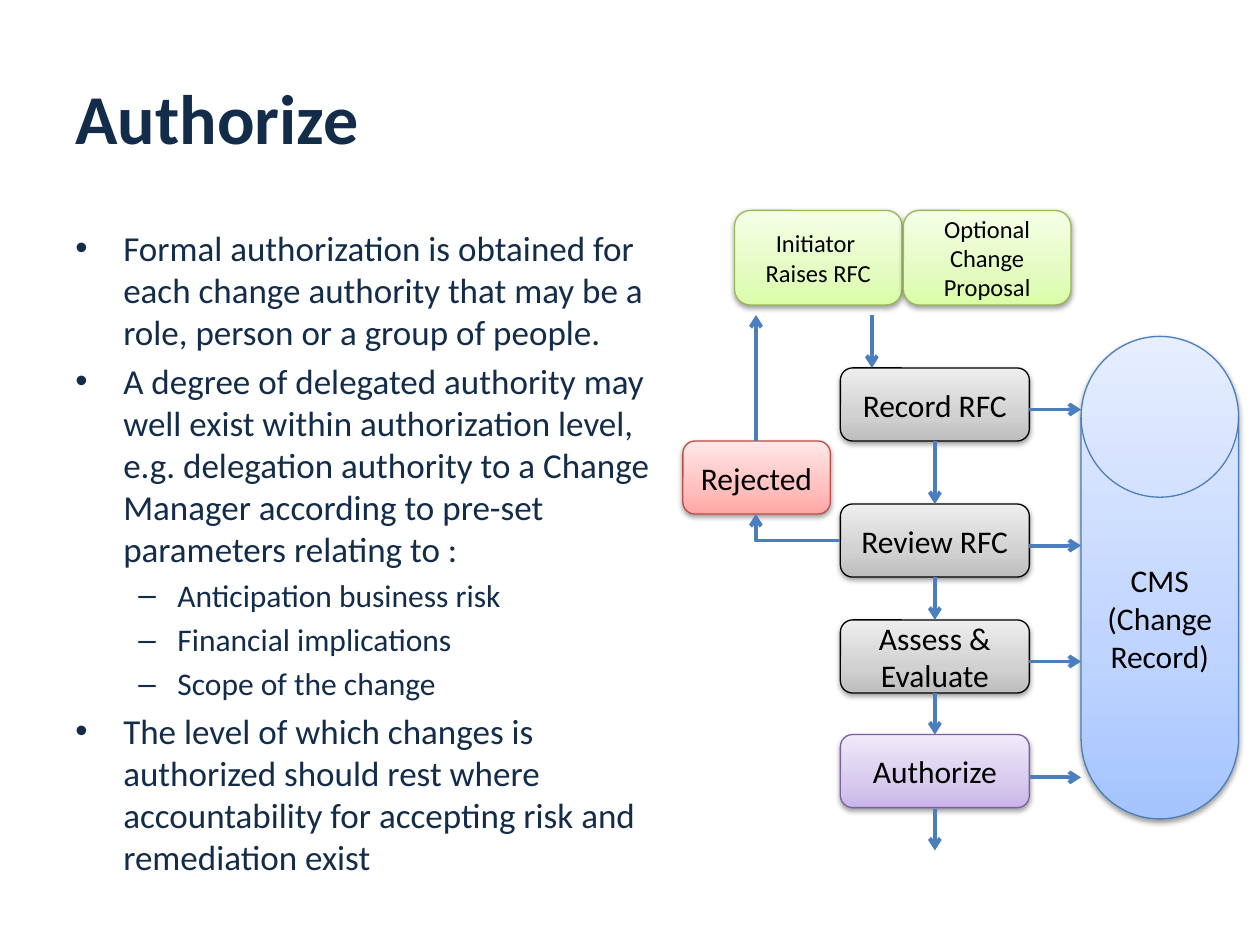
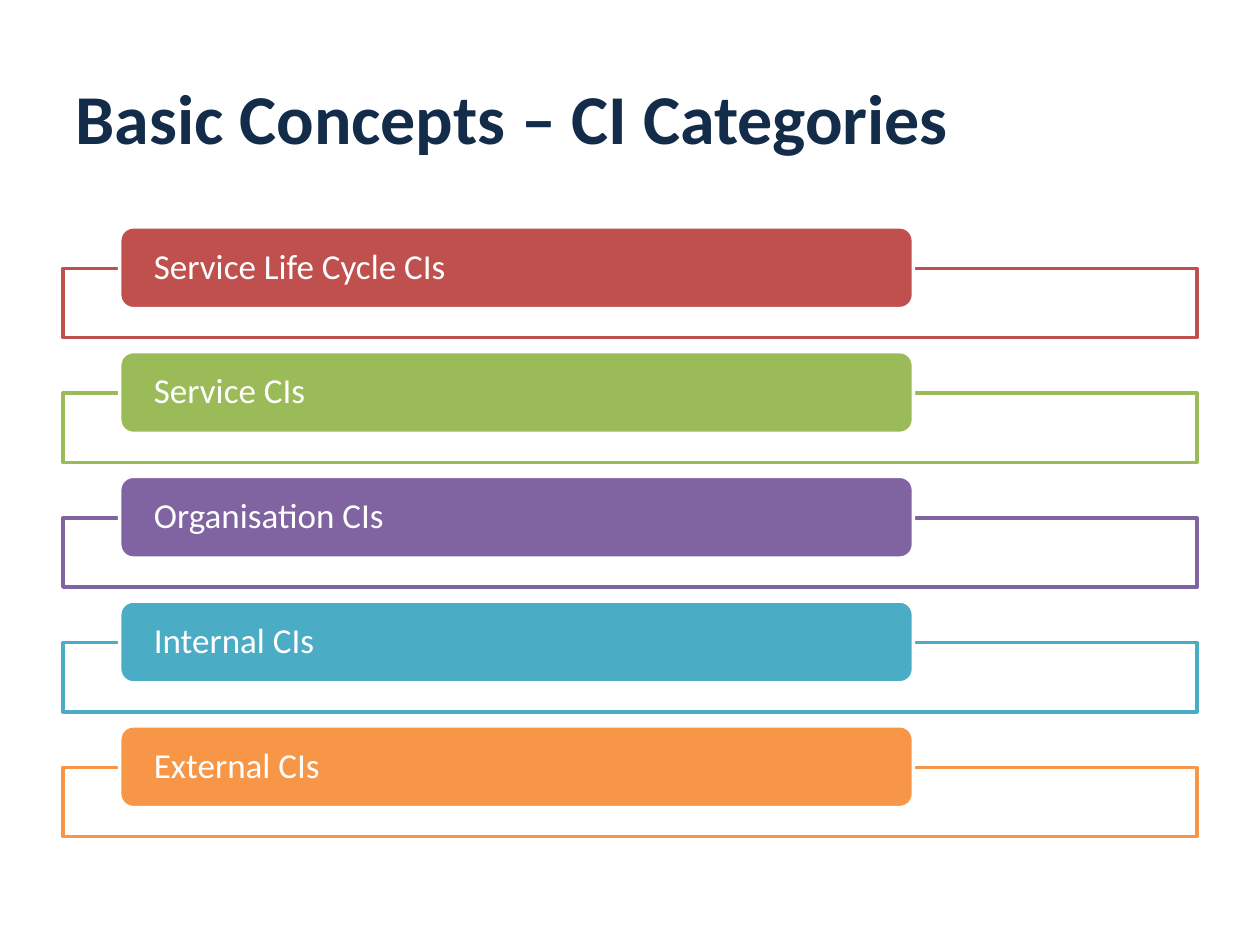
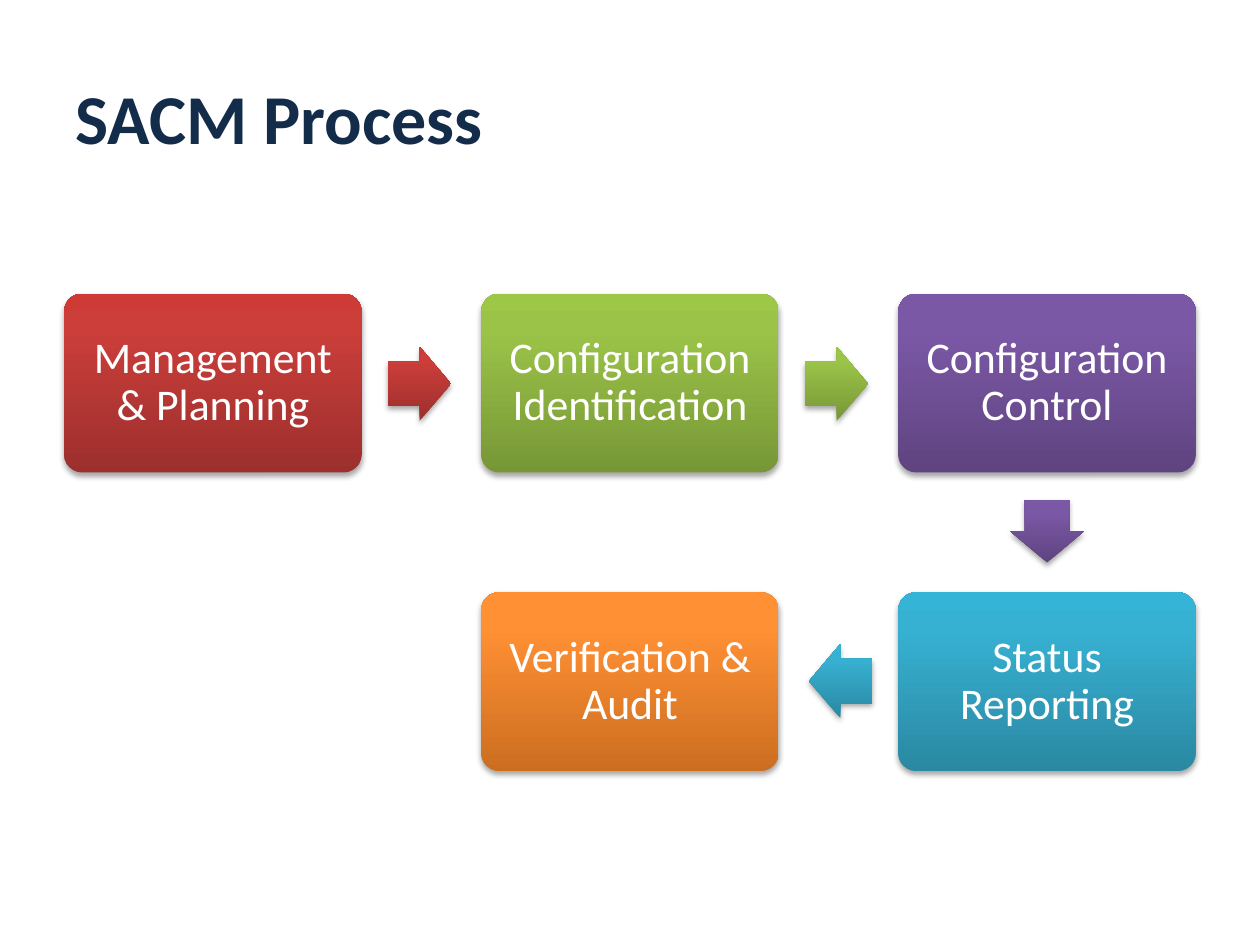
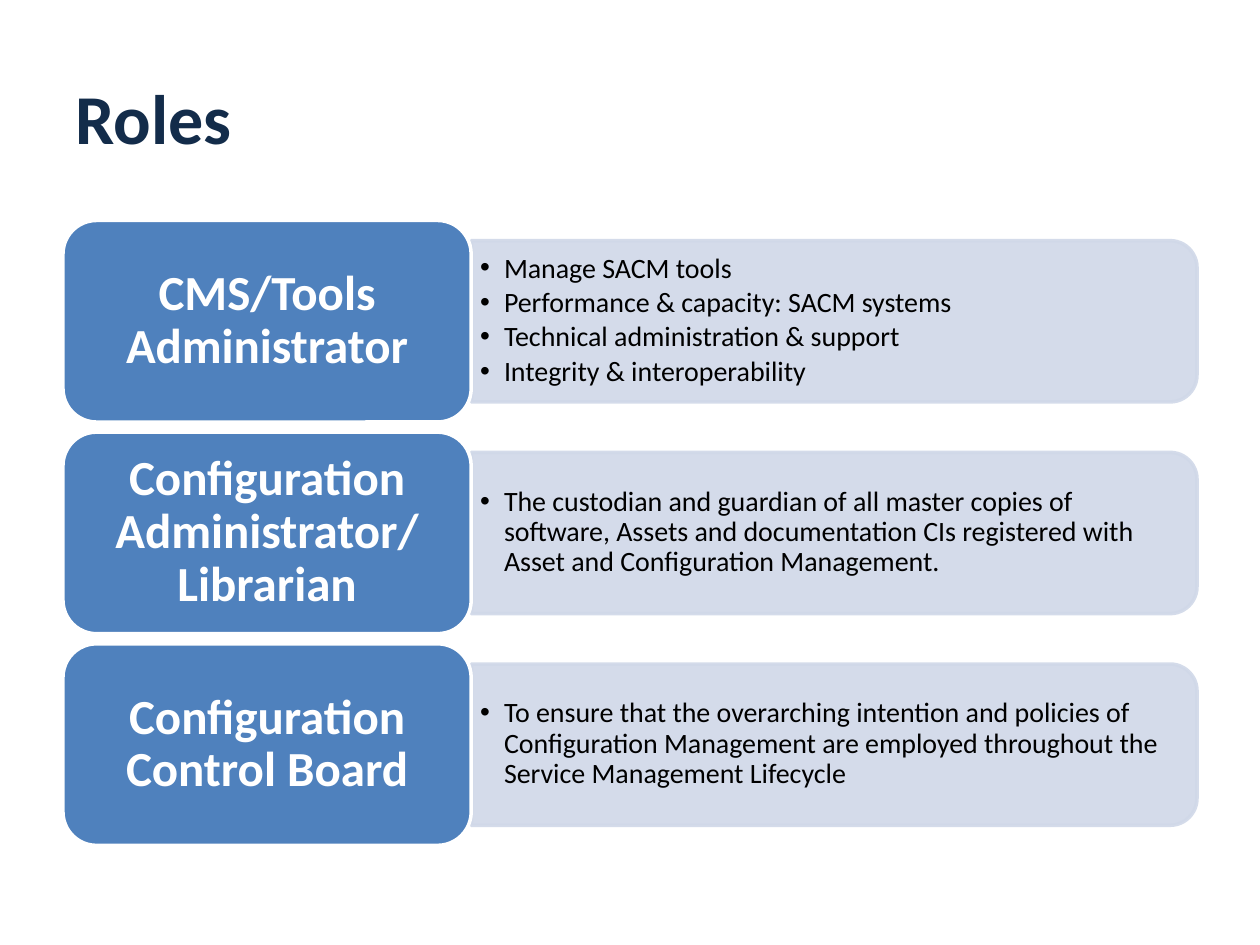
from dataclasses import dataclass
from typing import NamedTuple

from lxml.etree import SubElement
from pptx import Presentation
from pptx.dml.color import RGBColor
from pptx.enum.shapes import MSO_CONNECTOR, MSO_SHAPE
from pptx.enum.text import MSO_ANCHOR, PP_ALIGN
from pptx.oxml import parse_xml
from pptx.oxml.ns import nsdecls, qn
from pptx.util import Emu, Pt

EMU_PER_PX = 9144


class Box(NamedTuple):
    """Left, top, width and height in px."""

    x: int
    y: int
    w: int
    h: int


class Gradient(NamedTuple):
    """Colours from bottom to top, with the middle stop in percent."""

    bottom: str
    middle: str
    top: str
    stop: int


class Shadow(NamedTuple):
    """Opacity in percent and drop distance in EMU."""

    opacity: int
    distance: int


class Bullet(NamedTuple):
    """Bullet mark with its text margin and hanging indent in px."""

    mark: str
    margin: int
    hang: int
    level: int = 0


@dataclass(frozen=True)
class Theme:
    """Colours, font and type sizes of the deck."""

    font: str = "Calibri"
    navy: str = "132C4A"
    black: str = "000000"
    white: str = "FFFFFF"
    connector: str = "4B7EBC"
    role: str = "4F81BD"
    panel: str = "D0D8E8"
    title: int = 40
    role_name: int = 28
    step: int = 25
    body: int = 20
    node: int = 18
    duty: int = 16
    small: int = 14


@dataclass(frozen=True)
class Look:
    """Fill, outline and effects of a shape."""

    fill: str | Gradient
    line: str | None = None
    width: float = 2
    shadow: Shadow | None = None
    fill_alpha: int = 100
    line_alpha: int = 100


@dataclass(frozen=True)
class Node:
    """Labelled flow chart shape."""

    text: str
    box: Box
    look: Look
    size: int


@dataclass(frozen=True)
class Step:
    """Process box and the arrow that leaves it."""

    text: str
    col: int
    row: int
    fill: Gradient
    arrow: tuple[int, int, int] | None = None


T = Theme()
FLOW_SHADOW = Shadow(38, 20000)
STEP_SHADOW = Shadow(35, 23000)
POINT = Bullet("•", 38, 38)
DASH = Bullet("–", 81, 31, 1)
DUTY = Bullet("•", 19, 19, 1)


def flow_look(bottom: str, middle: str, top: str, line: str) -> Look:
    """Return the pale gradient look of the flow chart."""
    return Look(Gradient(bottom, middle, top, 35), line, 0.75, FLOW_SHADOW)


GREY = flow_look("BDBDBD", "D1D1D1", "EEEEEE", T.black)
PURPLE = flow_look("C9B5E8", "D8CBEE", "F0EAF9", "7D60A0")
GREEN = flow_look("DAFDA7", "E4FCC2", "F5FFE7", "98B955")
BLUE = flow_look("A4C4FF", "BFD4FF", "E6EEFF", T.connector)
RED = flow_look("FFA6A5", "FFC0BF", "FFE7E7", "BF4C48")

AUTHORIZE_POINTS = [
    (POINT, "Formal authorization is obtained for each change authority that "
            "may be a role, person or a group of people."),
    (POINT, "A degree of delegated authority may well exist within authorization "
            "level, e.g. delegation authority to a Change Manager according to "
            "pre-set parameters relating to :"),
    (DASH, "Anticipation business risk"),
    (DASH, "Financial implications"),
    (DASH, "Scope of the change"),
    (POINT, "The level of which changes is authorized should rest where "
            "accountability for accepting risk and remediation exist"),
]

FLOW_NODES = [
    Node("Record RFC", Box(667, 292, 150, 58), GREY, T.node),
    Node("Review RFC", Box(667, 400, 150, 58), GREY, T.node),
    Node("Assess & Evaluate", Box(667, 492, 150, 58), GREY, T.node),
    Node("Authorize", Box(667, 583, 150, 58), PURPLE, T.node),
    Node("Initiator \nRaises RFC", Box(583, 167, 133, 75), GREEN, T.small),
    Node("Optional Change Proposal", Box(717, 167, 133, 75), GREEN, T.small),
    Node("Rejected", Box(542, 350, 117, 58), RED, T.node),
]

FLOW_ARROWS = [
    *((742, top, 742, bottom) for top, bottom in
      ((350, 400), (458, 492), (550, 583), (642, 675))),
    (600, 350, 600, 250),
    (692, 250, 692, 292),
    *((817, y, 858, y) for y in (325, 433, 525, 617)),
]

CATEGORIES = [
    ("Service Life Cycle CIs", "C0504D"),
    ("Service CIs", "9BBB59"),
    ("Organisation CIs", "8064A2"),
    ("Internal CIs", "4BACC6"),
    ("External CIs", "F79646"),
]

STEPS = [
    Step("Management & Planning", 0, 0,
         Gradient("9C2F2D", "CB3E3A", "CE3B37", 80), (308, 275, 0)),
    Step("Configuration Identification", 1, 0,
         Gradient("779737", "9BC348", "9DC746", 80), (639, 275, 0)),
    Step("Configuration Control", 2, 0,
         Gradient("5F4480", "7B58A6", "7C57A8", 80), (806, 392, 90)),
    Step("Status Reporting", 2, 1,
         Gradient("2A88A2", "37B1D2", "34B4D6", 80), (642, 511, 180)),
    Step("Verification & Audit", 1, 1,
         Gradient("CC6E20", "FF9034", "FF9136", 80)),
]

ROLES = [
    ("CMS/Tools Administrator",
     ["Manage SACM tools", "Performance & capacity: SACM systems",
      "Technical administration & support", "Integrity & interoperability"]),
    ("Configuration Administrator/ Librarian",
     ["The custodian and guardian of all master copies of software, Assets and "
      "documentation CIs registered with Asset and Configuration Management."]),
    ("Configuration Control Board",
     ["To ensure that the overarching intention and policies of Configuration "
      "Management are employed throughout the Service Management Lifecycle"]),
]


def px(n: int) -> Emu:
    """Convert px to EMU."""
    return Emu(n * EMU_PER_PX)


def rgb(color: str) -> RGBColor:
    """Convert a hex string to a colour."""
    return RGBColor.from_string(color)


def write(tf, text: str, *, size: int, color: str = T.black, bold: bool = False,
          align=PP_ALIGN.CENTER, leading: float | None = None, before: float = 0,
          after: float = 0, bullet: Bullet | None = None) -> None:
    """Add a formatted paragraph to a text frame."""
    first = not tf.text
    p = tf.paragraphs[0] if first else tf.add_paragraph()
    p.text = text
    if bullet:
        p.level = bullet.level
        pPr = p._p.get_or_add_pPr()
        pPr.set("marL", str(px(bullet.margin)))
        pPr.set("indent", str(px(-bullet.hang)))
        SubElement(pPr, qn("a:buFont"), typeface="Arial")
        SubElement(pPr, qn("a:buChar"), char=bullet.mark)
    p.alignment = align
    if leading:
        p.line_spacing = leading
    p.space_before = Pt(0 if first else before)
    p.space_after = Pt(after)
    for r in p.runs:
        r.font.name, r.font.size, r.font.bold = T.font, Pt(size), bold
        r.font.color.rgb = rgb(color)
    for br in p._p.findall(qn("a:br")):
        SubElement(br, qn("a:rPr"), sz=str(size * 100))


def frame(sp, inset: tuple[int, int] = (10, 5), anchor=MSO_ANCHOR.MIDDLE):
    """Set wrapping, insets and anchor, and return the text frame."""
    tf = sp.text_frame
    tf.word_wrap = True
    tf.vertical_anchor = anchor
    tf.margin_left = tf.margin_right = px(inset[0])
    tf.margin_top = tf.margin_bottom = px(inset[1])
    return tf


def set_gradient(sp, g: Gradient) -> None:
    """Fill a shape with an upward gradient that ignores rotation."""
    sp.fill.background()
    spPr = sp.element.spPr
    stops = "".join(
        f'<a:gs pos="{pos * 1000}"><a:srgbClr val="{color}"/></a:gs>'
        for pos, color in ((0, g.bottom), (g.stop, g.middle), (100, g.top)))
    spPr.replace(spPr.find(qn("a:noFill")), parse_xml(
        f'<a:gradFill {nsdecls("a")} rotWithShape="0"><a:gsLst>{stops}</a:gsLst>'
        '<a:lin ang="16200000" scaled="0"/></a:gradFill>'))


def set_alpha(sp, parent: str, percent: int) -> None:
    """Set the opacity of a solid fill under the given path."""
    if percent < 100:
        for clr in sp.element.xpath(f"{parent}/a:solidFill/a:srgbClr"):
            SubElement(clr, qn("a:alpha"), val=str(percent * 1000))


def set_shadow(sp, shadow: Shadow | None) -> None:
    """Replace the theme shadow by a downward one or none."""
    sp.shadow.inherit = False
    if shadow:
        sp.element.spPr.find(qn("a:effectLst")).append(parse_xml(
            f'<a:outerShdw {nsdecls("a")} blurRad="40000" dist="{shadow.distance}" '
            'dir="5400000" rotWithShape="0"><a:srgbClr val="000000">'
            f'<a:alpha val="{shadow.opacity * 1000}"/></a:srgbClr></a:outerShdw>'))


def add_box(s, kind, box: Box, look: Look, rotation: int = 0,
            adjust: tuple[float, ...] = ()):
    """Draw a preset shape with a look."""
    sp = s.shapes.add_shape(kind, *map(px, box))
    sp.rotation = rotation
    for i, value in enumerate(adjust):
        sp.adjustments[i] = value
    if isinstance(look.fill, Gradient):
        set_gradient(sp, look.fill)
    else:
        sp.fill.solid()
        sp.fill.fore_color.rgb = rgb(look.fill)
    if look.line:
        sp.line.color.rgb = rgb(look.line)
        sp.line.width = Pt(look.width)
    else:
        sp.line.fill.background()
    set_alpha(sp, "./p:spPr", look.fill_alpha)
    set_alpha(sp, "./p:spPr/a:ln", look.line_alpha)
    set_shadow(sp, look.shadow)
    return sp


def add_arrow(s, ends: tuple[int, int, int, int], bent: bool = False) -> None:
    """Draw a straight or one-corner connector with an arrowhead."""
    kind = MSO_CONNECTOR.ELBOW if bent else MSO_CONNECTOR.STRAIGHT
    cxn = s.shapes.add_connector(kind, *map(px, ends))
    cxn.line.color.rgb = rgb(T.connector)
    cxn.line.width = Pt(2.25)
    spPr = cxn.element.spPr
    if bent:
        spPr.find(qn("a:prstGeom")).set("prst", "bentConnector2")
    SubElement(spPr.find(qn("a:ln")), qn("a:tailEnd"), type="arrow")
    SubElement(spPr, qn("a:effectLst"))


def add_text_box(s, box: Box, **layout):
    """Add a text box and return its text frame."""
    return frame(s.shapes.add_textbox(*map(px, box)), **layout)


def add_slide(prs, title: str):
    """Add a title-only slide with the deck's title style."""
    s = prs.slides.add_slide(prs.slide_layouts[5])
    sp = s.shapes.title
    sp.left, sp.top, sp.width, sp.height = map(px, Box(50, 30, 900, 125))
    write(frame(sp), title, size=T.title, color=T.navy, bold=True,
          align=PP_ALIGN.LEFT)
    return s


def build_authorize(prs) -> None:
    """Build the authorization slide with its change flow."""
    s = add_slide(prs, "Authorize")
    tf = add_text_box(s, Box(50, 175, 492, 495), anchor=MSO_ANCHOR.TOP)
    for bullet, text in AUTHORIZE_POINTS:
        size = T.node if bullet.level else T.body
        write(tf, text, size=size, color=T.navy, align=PP_ALIGN.LEFT,
              before=size / 5, bullet=bullet)
    for node in FLOW_NODES:
        sp = add_box(s, MSO_SHAPE.ROUNDED_RECTANGLE, node.box, node.look)
        write(frame(sp), node.text, size=node.size)
    cms = add_box(s, MSO_SHAPE.FLOWCHART_MAGNETIC_DISK, Box(858, 267, 125, 383), BLUE)
    tf = frame(cms)
    for line in ("CMS", "(Change Record)"):
        write(tf, line, size=T.node)
    for ends in FLOW_ARROWS:
        add_arrow(s, ends)
    add_arrow(s, (667, 429, 600, 408), bent=True)


def build_categories(prs) -> None:
    """Build the list of configuration item categories."""
    s = add_slide(prs, "Basic Concepts – CI Categories")
    for i, (text, color) in enumerate(CATEGORIES):
        top = 180 + 99 * i
        add_box(s, MSO_SHAPE.RECTANGLE, Box(50, top + 33, 900, 55),
                Look(T.white, color, fill_alpha=90))
        sp = add_box(s, MSO_SHAPE.ROUNDED_RECTANGLE, Box(95, top, 630, 65),
                     Look(color, T.white))
        write(frame(sp, (24, 0)), text, size=T.body, color=T.white,
              align=PP_ALIGN.LEFT, leading=0.9)


def build_process(prs) -> None:
    """Build the process as a snake of boxes and arrows."""
    s = add_slide(prs, "SACM Process")
    for step in STEPS:
        look = Look(step.fill, shadow=STEP_SHADOW)
        box = Box(51 + 331 * step.col, 233 + 237 * step.row, 236, 142)
        sp = add_box(s, MSO_SHAPE.ROUNDED_RECTANGLE, box, look, adjust=(0.1,))
        write(frame(sp, (10, 10)), step.text, size=T.step, color=T.white, leading=0.9)
        if step.arrow:
            x, y, angle = step.arrow
            add_box(s, MSO_SHAPE.RIGHT_ARROW, Box(x, y, 50, 59), look, angle, (0.6, 0.5))


def build_roles(prs) -> None:
    """Build the roles with their duties."""
    s = add_slide(prs, "Roles")
    panel = Look(T.panel, T.panel, fill_alpha=90, line_alpha=90)
    for i, (role, duties) in enumerate(ROLES):
        top = 175 + 168 * i
        add_box(s, MSO_SHAPE.ROUND_2_SAME_RECTANGLE, Box(598, top - 208, 128, 576),
                panel, 90)
        tf = add_text_box(s, Box(374, top + 22, 570, 115), inset=(7, 3))
        for duty in duties:
            write(tf, duty, size=T.duty, align=PP_ALIGN.LEFT, leading=0.9,
                  after=2.4, bullet=DUTY)
        sp = add_box(s, MSO_SHAPE.ROUNDED_RECTANGLE, Box(50, top, 324, 160),
                     Look(T.role, T.white))
        write(frame(sp, (12, 6)), role, size=T.role_name, color=T.white, bold=True,
              leading=0.9)


def main() -> None:
    """Build and save the deck."""
    prs = Presentation()
    prs.slide_width, prs.slide_height = px(1000), px(750)
    for build in (build_authorize, build_categories, build_process, build_roles):
        build(prs)
    prs.save("out.pptx")


if __name__ == "__main__":
    main()
